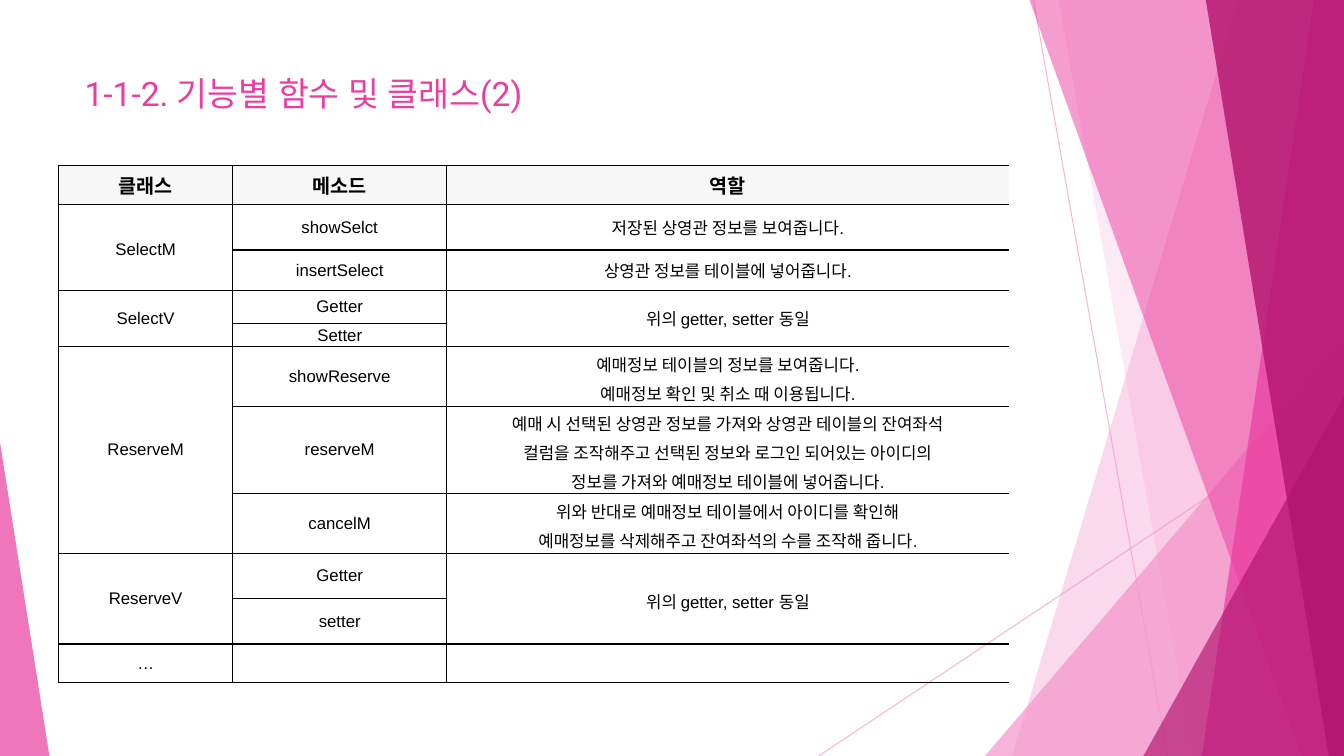
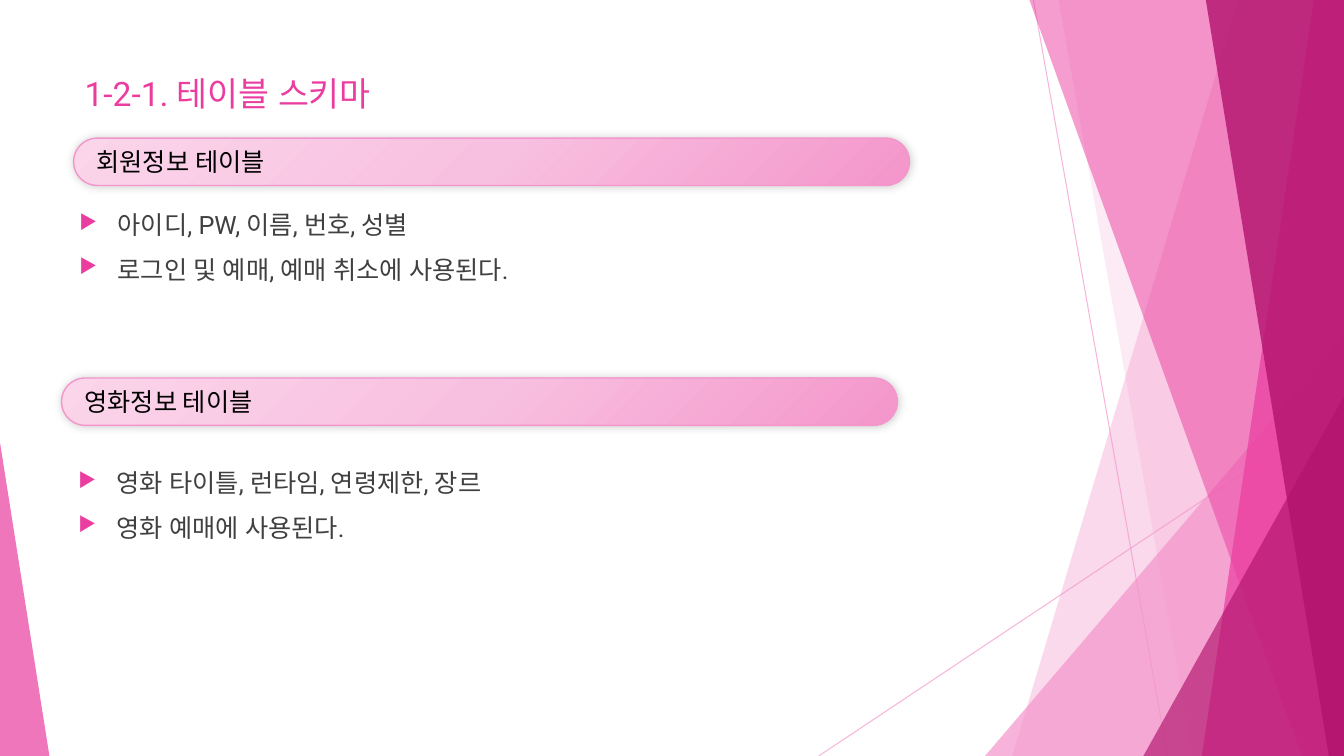
from copy import deepcopy

from pptx import Presentation
from pptx.dml.color import RGBColor
from pptx.enum import shapes, text
from pptx.oxml import parse_xml
from pptx.oxml.ns import nsdecls, qn
from pptx.util import Emu, Inches, Pt

COLOURS = {
    "light": "F496CB", "pink": "EB3D9F", "deep": "B2136D", "body": "404040",
    "ink": "000000", "head": "F7F7F7", "pale": "FBD5EA", "rose": "F8C0E0",
}
LATIN, KOREAN, TITLE = "Arial", "Noto Sans CJK KR", "Roboto"
WIDTH, HEIGHT = 13.33, 7.5

# Thin lines: start and end points
RAYS = [((10.25, 0), (11.58, HEIGHT)), ((WIDTH, 4.03), (8.12, HEIGHT))]
# Slants: colour, opacity, top x, bottom x; each reaches the right edge.
# Triangles: colour, opacity, left, top, right, apex; each stands on the bottom edge.
FACETS = [
    ("light", 36, 12.28, 10.04),
    ("light", 20, 10.5, 11.83),
    ("light", 72, 9.77, 3.33, WIDTH, 1),
    ("pink", 50, 10.21, 12.91),
    ("pink", 70, 13.03, 11.92),
    ("deep", 80, 11.96, 13.18),
    ("deep", 66, 11.34, 3.93, WIDTH, 1),
    ("pink", 70, 0, 4.39, 0.49, 0),
]

CLASS_TITLE = "1-1-2. 기능별 함수 및 클래스(2)"
COLUMNS = [1.73, 2.12, 5.58]
ROW_HEIGHTS = [0.39, 0.45, 0.4, 0.33, 0.23, 0.59, 0.87, 0.59, 0.45, 0.45, 0.38]
# None continues the cell above
ROWS = [
    ("클래스", "메소드", "역할"),
    ("SelectM", "showSelct", "저장된 상영관 정보를 보여줍니다."),
    (None, "insertSelect", "상영관 정보를 테이블에 넣어줍니다."),
    ("SelectV", "Getter", "위의 getter, setter 동일"),
    (None, "Setter", None),
    ("ReserveM", "showReserve",
     "예매정보 테이블의 정보를 보여줍니다.\n예매정보 확인 및 취소 때 이용됩니다."),
    (None, "reserveM",
     "예매 시 선택된 상영관 정보를 가져와 상영관 테이블의 잔여좌석\n"
     "컬럼을 조작해주고 선택된 정보와 로그인 되어있는 아이디의\n"
     "정보를 가져와 예매정보 테이블에 넣어줍니다."),
    (None, "cancelM",
     "위와 반대로 예매정보 테이블에서 아이디를 확인해\n"
     "예매정보를 삭제해주고 잔여좌석의 수를 조작해 줍니다."),
    ("ReserveV", "Getter", "위의 getter, setter 동일"),
    (None, "setter", None),
    ("…", "", ""),
]
LOOSE_CELLS = {(1, 0), (8, 2)}

SCHEMA_TITLE = "1-2-1. 테이블 스키마"
# Heading, its left and top, bullets, their left and top
SCHEMAS = [
    ("회원정보 테이블", 0.73, 1.37,
     ["아이디, PW, 이름, 번호, 성별", "로그인 및 예매, 예매 취소에 사용된다."], 0.69, 2.03),
    ("영화정보 테이블", 0.61, 3.75,
     ["영화 타이틀, 런타임, 연령제한, 장르", "영화 예매에 사용된다."], 0.68, 4.59),
]


def rgb(name):
    """Return a named colour."""
    return RGBColor.from_string(COLOURS[name])


def set_opacity(sp, percent):
    """Make the fill and line colours of a shape translucent."""
    for clr in sp._element.spPr.iter(qn("a:srgbClr")):
        clr.append(parse_xml(f'<a:alpha {nsdecls("a")} val="{percent * 1000}"/>'))


def style(p, size, colour, latin, asian, bold=False):
    """Format every run of a paragraph."""
    for r in p.runs:
        r.font.size, r.font.bold, r.font.name = Pt(size), bold, latin
        r.font.color.rgb = rgb(colour)
        r._r.get_or_add_rPr().append(
            parse_xml(f'<a:ea {nsdecls("a")} typeface="{asian}"/>'))


def add_text(slide, left, top, height, content):
    """Add a wrapping text box and return its text frame."""
    tf = slide.shapes.add_textbox(
        Inches(left), Inches(top), Inches(9.4), Inches(height)).text_frame
    tf.word_wrap = True
    tf.text = content
    return tf


def add_facet(slide, colour, opacity, *geometry):
    """Add one translucent slant or triangle."""
    if len(geometry) == 2:
        top_x, bottom_x = geometry
        corners = [(WIDTH, 0), (WIDTH, HEIGHT), (bottom_x, HEIGHT)]
        outline = slide.shapes.build_freeform(Inches(top_x), 0)
        outline.add_line_segments([(Inches(x), Inches(y)) for x, y in corners])
        sp = outline.convert_to_shape()
    else:
        left, top, right, apex = geometry
        sp = slide.shapes.add_shape(
            shapes.MSO_SHAPE.ISOSCELES_TRIANGLE, Inches(left), Inches(top),
            Inches(right - left), Inches(HEIGHT - top))
        sp.adjustments[0] = apex
    sp.shadow.inherit = False
    sp.fill.solid()
    sp.fill.fore_color.rgb = rgb(colour)
    sp.line.fill.background()
    set_opacity(sp, opacity)


def new_slide(prs, title):
    """Add a slide with the shared facets and title."""
    slide = prs.slides.add_slide(prs.slide_layouts[6])
    for start, end in RAYS:
        ray = slide.shapes.add_connector(
            shapes.MSO_CONNECTOR.STRAIGHT, *map(Inches, start + end))
        ray.line.color.rgb = rgb("light")
        ray.line.width = Pt(0.75)
        set_opacity(ray, 70)
        ray._element.spPr.append(parse_xml(f'<a:effectLst {nsdecls("a")}/>'))
    for facet in FACETS:
        add_facet(slide, *facet)
    tf = add_text(slide, 0.74, 0.67, 1.44, title)
    style(tf.paragraphs[0], 24, "pink", TITLE, TITLE)
    return slide


def set_borders(cell, sides):
    """Draw 1 pt borders on the given sides and none on the others."""
    tcPr = cell._tc.get_or_add_tcPr()
    for i, side in enumerate("LRTB"):
        paint = (f'<a:solidFill><a:srgbClr val="{COLOURS["ink"]}"/></a:solidFill>'
                 if side in sides else "<a:noFill/>")
        tcPr.insert(i, parse_xml(
            f'<a:ln{side} {nsdecls("a")} w="{Pt(1)}">{paint}</a:ln{side}>'))


def fill_cell(cell, row, col, content):
    """Write and format one table cell."""
    header = row == 0
    cell.vertical_anchor = text.MSO_ANCHOR.MIDDLE
    cell.margin_left = cell.margin_right = Inches(0.07)
    cell.margin_top = cell.margin_bottom = 0
    if header:
        cell.fill.solid()
        cell.fill.fore_color.rgb = rgb("head")
    else:
        cell.fill.background()
    set_borders(cell, "LTB" if col == len(COLUMNS) - 1 else "LRTB")
    if content is None:
        return
    cell.text_frame.text = content
    for p in cell.text_frame.paragraphs:
        p.alignment = text.PP_ALIGN.CENTER
        if "\n" in content or (row, col) in LOOSE_CELLS:
            p.line_spacing = 1.2
        style(p, 14 if header else 12, "ink", LATIN, KOREAN, header)


def add_class_table(slide):
    """Add the table of classes, methods and roles."""
    table = slide.shapes.add_table(
        len(ROWS), len(COLUMNS), Inches(0.58), Inches(1.64),
        Inches(sum(COLUMNS)), Inches(sum(ROW_HEIGHTS))).table
    for column, width in zip(table.columns, COLUMNS):
        column.width = Inches(width)
    for row, height in zip(table.rows, ROW_HEIGHTS):
        row.height = Inches(height)
    for i, values in enumerate(ROWS):
        for j, content in enumerate(values):
            fill_cell(table.cell(i, j), i, j, content)
    for j in range(len(COLUMNS)):
        starts = [i for i, values in enumerate(ROWS) if values[j] is not None]
        for start, following in zip(starts, starts[1:] + [len(ROWS)]):
            if following - start > 1:
                table.cell(start, j).merge(table.cell(following - 1, j))


def add_heading(slide, content, left, top):
    """Add a rounded gradient band with a soft shadow."""
    sp = slide.shapes.add_shape(
        shapes.MSO_SHAPE.ROUNDED_RECTANGLE,
        Inches(left), Inches(top), Inches(8.29), Inches(0.47))
    sp.adjustments[0] = 0.5
    sp.fill.gradient()
    sp.fill.gradient_angle = 315
    stop_list = sp._element.spPr.find(".//" + qn("a:gsLst"))
    stop_list.append(deepcopy(stop_list[0]))
    for stop, name, place in zip(
            sp.fill.gradient_stops, ("pale", "rose", "light"), (0, 0.5, 1)):
        stop.color.rgb = rgb(name)
        stop.position = place
    sp.line.color.rgb = rgb("light")
    sp.line.width = Pt(1)
    sp.shadow.inherit = False
    sp._element.spPr.find(qn("a:effectLst")).append(parse_xml(
        f'<a:outerShdw {nsdecls("a")} blurRad="{Pt(6)}" dist="0" dir="18900000">'
        f'<a:srgbClr val="{COLOURS["ink"]}"><a:alpha val="20000"/></a:srgbClr>'
        '</a:outerShdw>'))
    tf = sp.text_frame
    tf.text = content
    tf.vertical_anchor = text.MSO_ANCHOR.MIDDLE
    tf.margin_left = Inches(0.16)
    tf.margin_top = tf.margin_bottom = Emu(0)
    tf.paragraphs[0].alignment = text.PP_ALIGN.LEFT
    style(tf.paragraphs[0], 18, "ink", KOREAN, KOREAN)


def add_bullets(slide, items, left, top):
    """Add a list with pink arrow bullets."""
    tf = add_text(slide, left, top, 1.88, "\n".join(items))
    for p in tf.paragraphs:
        p.space_before = Pt(10)
        style(p, 18, "body", TITLE, TITLE)
        pPr = p._p.get_or_add_pPr()
        pPr.set("marL", str(Inches(0.38)))
        pPr.set("indent", str(-Inches(0.38)))
        for bullet in (
                f'<a:buClr {nsdecls("a")}><a:srgbClr val="{COLOURS["pink"]}"/></a:buClr>',
                f'<a:buSzPct {nsdecls("a")} val="80000"/>',
                f'<a:buChar {nsdecls("a")} char="▶"/>'):
            pPr.append(parse_xml(bullet))


def main():
    """Build and save both slides."""
    prs = Presentation()
    prs.slide_width, prs.slide_height = Inches(WIDTH), Inches(HEIGHT)
    add_class_table(new_slide(prs, CLASS_TITLE))
    schema_slide = new_slide(prs, SCHEMA_TITLE)
    for heading, left, top, items, list_left, list_top in SCHEMAS:
        add_heading(schema_slide, heading, left, top)
        add_bullets(schema_slide, items, list_left, list_top)
    prs.save("out.pptx")


main()
